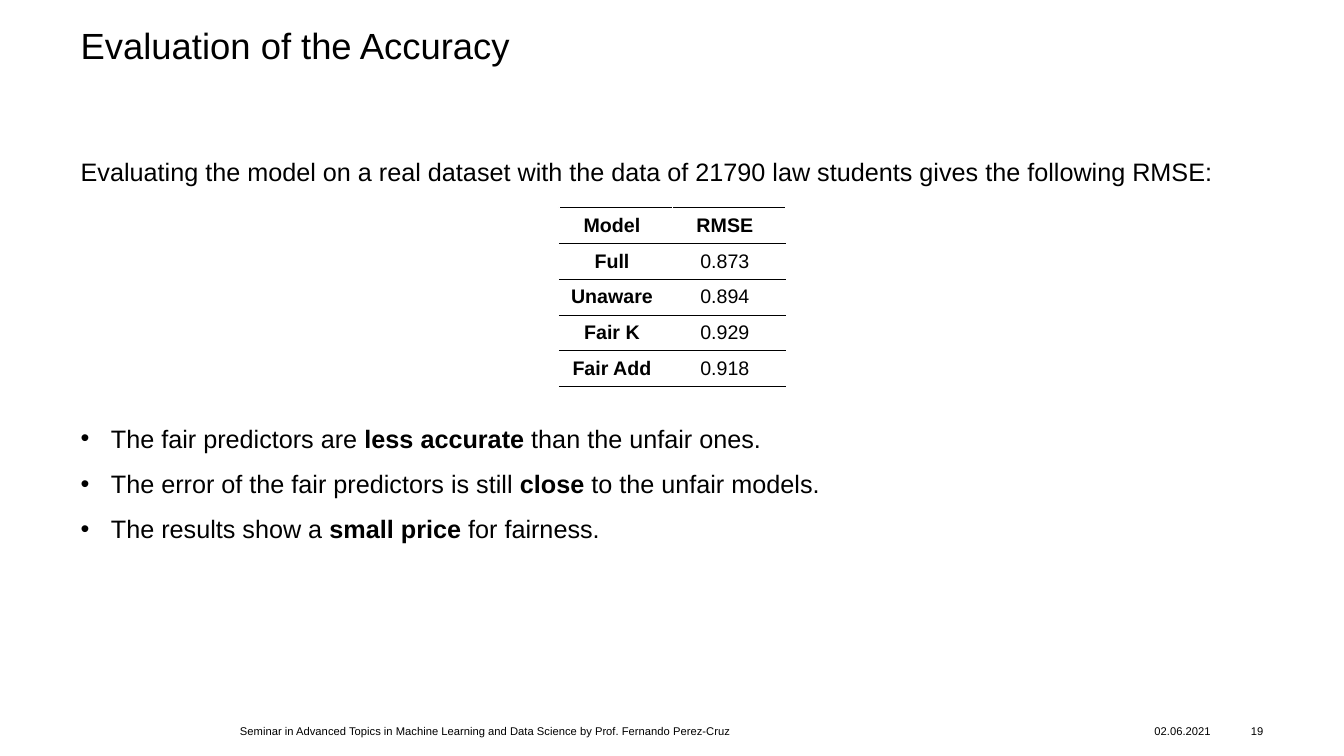
from lxml.etree import SubElement
from pptx import Presentation
from pptx.dml.color import RGBColor
from pptx.enum.text import MSO_ANCHOR, MSO_AUTO_SIZE, PP_ALIGN
from pptx.oxml import parse_xml
from pptx.oxml.ns import nsdecls, qn
from pptx.util import Inches, Pt

FONT = "Arial"
BLACK = RGBColor(0x00, 0x00, 0x00)
WHITE = RGBColor(0xFF, 0xFF, 0xFF)

# Page grid, in inches
PAGE_WIDTH, PAGE_HEIGHT = 13.33, 7.5
MARGIN = 0.8
CONTENT_WIDTH = PAGE_WIDTH - 2 * MARGIN
FOOTER_TOP, FOOTER_HEIGHT = 7.13, 0.24
COLUMN_WIDTH, ROW_HEIGHT = 1.12, 0.355
BULLET_INDENT = 0.3
TABLE_GAP = 169  # points left for the table between intro and bullets

INTRO = ("Evaluating the model on a real dataset with the data of 21790 law "
         "students gives the following RMSE:")
# Each finding: text before, bold words, text after
FINDINGS = [
    ("The fair predictors are ", "less accurate ", "than the unfair ones."),
    ("The error of the fair predictors is still ", "close", " to the unfair models."),
    ("The results show a ", "small price ", "for fairness."),
]
RMSE_ROWS = [
    ("Model", "RMSE"),
    ("Full", "0.873"),
    ("Unaware", "0.894"),
    ("Fair K", "0.929"),
    ("Fair Add", "0.918"),
]
FOOTER = [
    ("Seminar in Advanced Topics in Machine Learning and Data Science "
     "by Prof. Fernando Perez-Cruz", 2.38, 5.91, PP_ALIGN.LEFT),
    ("02.06.2021", 11.45, 0.67, PP_ALIGN.LEFT),
    ("19", 12.18, 0.35, PP_ALIGN.RIGHT),
]


def write(paragraph, text, size=18, bold=False, align=PP_ALIGN.LEFT,
          before=0, line_spacing=None):
    """Add one run to a paragraph and format both."""
    paragraph.alignment = align
    paragraph.space_before = Pt(before)
    if line_spacing:
        paragraph.line_spacing = line_spacing
    run = paragraph.add_run()
    run.text = text
    run.font.name = FONT
    run.font.size = Pt(size)
    run.font.bold = bold
    run.font.color.rgb = BLACK


def prepare_frame(shape, left, top, width, height, anchor=MSO_ANCHOR.TOP):
    """Place a text shape and clear its margins."""
    shape.left, shape.top = Inches(left), Inches(top)
    shape.width, shape.height = Inches(width), Inches(height)
    frame = shape.text_frame
    frame.margin_left = frame.margin_right = 0
    frame.margin_top = frame.margin_bottom = 0
    frame.word_wrap = True
    frame.auto_size = MSO_AUTO_SIZE.NONE
    frame.vertical_anchor = anchor
    return frame


def set_bullet(paragraph, char=None):
    """Give a paragraph a hanging bullet, or none at all."""
    properties = paragraph._p.get_or_add_pPr()
    indent = Inches(BULLET_INDENT) if char else 0
    properties.set("marL", str(indent))
    properties.set("indent", str(-indent))
    if char:
        SubElement(properties, qn("a:buChar")).set("char", char)
    else:
        SubElement(properties, qn("a:buNone"))


def set_rules(cell, top, bottom):
    """Draw the horizontal rules of a cell, widths in points."""
    properties = cell._tc.get_or_add_tcPr()
    for position, (edge, width) in enumerate((("lnT", top), ("lnB", bottom))):
        properties.insert(position, parse_xml(
            f'<a:{edge} {nsdecls("a")} w="{Pt(width)}"><a:solidFill>'
            f'<a:srgbClr val="{BLACK}"/></a:solidFill></a:{edge}>'))


def add_findings(body):
    frame = prepare_frame(body, MARGIN, 1.55, CONTENT_WIDTH, 5.12)
    intro = frame.paragraphs[0]
    set_bullet(intro)
    write(intro, INTRO)
    for number, (lead, key, rest) in enumerate(FINDINGS):
        paragraph = frame.add_paragraph()
        set_bullet(paragraph, "•")
        before = 10.6 if number else TABLE_GAP
        for text, bold in ((lead, False), (key, True), (rest, False)):
            write(paragraph, text, bold=bold, before=before)


def add_rmse_table(slide):
    rows, columns = len(RMSE_ROWS), len(RMSE_ROWS[0])
    table = slide.shapes.add_table(
        rows, columns, Inches(5.55), Inches(2.06),
        Inches(columns * COLUMN_WIDTH), Inches(rows * ROW_HEIGHT)).table
    table.first_row = table.horz_banding = False
    for r, values in enumerate(RMSE_ROWS):
        for c, value in enumerate(values):
            cell = table.cell(r, c)
            cell.margin_left = cell.margin_top = cell.margin_bottom = 0
            cell.margin_right = Inches(0.08)
            cell.vertical_anchor = MSO_ANCHOR.MIDDLE
            cell.fill.solid()
            cell.fill.fore_color.rgb = WHITE
            set_rules(cell, top=1 if r < 2 else 0.5, bottom=0.5 if r else 1)
            write(cell.text_frame.paragraphs[0], value, size=14,
                  bold=r == 0 or c == 0, align=PP_ALIGN.CENTER)


def add_footer(slide):
    for text, left, width, align in FOOTER:
        place = (left, FOOTER_TOP, width, FOOTER_HEIGHT)
        box = slide.shapes.add_textbox(*map(Inches, place))
        frame = prepare_frame(box, *place, anchor=MSO_ANCHOR.MIDDLE)
        write(frame.paragraphs[0], text, size=8, align=align)


def main():
    deck = Presentation()
    deck.slide_width, deck.slide_height = Inches(PAGE_WIDTH), Inches(PAGE_HEIGHT)
    slide = deck.slides.add_slide(deck.slide_layouts[1])

    # Title
    title = prepare_frame(slide.shapes.title, MARGIN, 0.28, CONTENT_WIDTH, 0.98)
    write(title.paragraphs[0], "Evaluation of the Accuracy", size=26, line_spacing=0.9)

    # Content
    add_findings(slide.placeholders[1])
    add_footer(slide)
    add_rmse_table(slide)
    deck.save("out.pptx")


if __name__ == "__main__":
    main()
